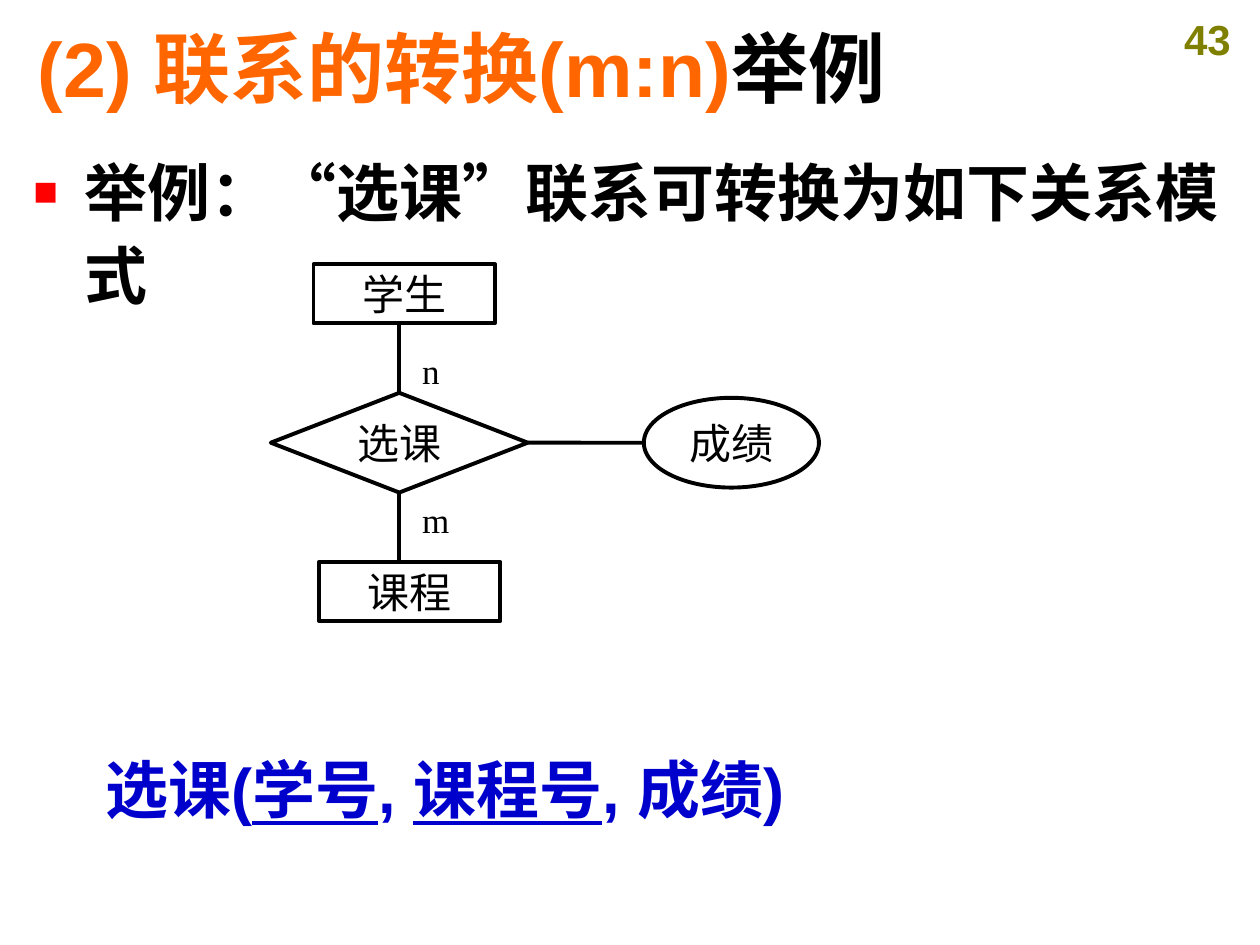
from lxml import etree
from pptx import Presentation
from pptx import util as u
from pptx.dml.color import RGBColor
from pptx.enum import shapes, text
from pptx.oxml import ns

Cm, Pt = u.Cm, u.Pt

BLACK = RGBColor(0x00, 0x00, 0x00)
ORANGE = RGBColor(0xFF, 0x66, 0x00)
BLUE = RGBColor(0x00, 0x00, 0xCC)
OLIVE = RGBColor(0x80, 0x80, 0x00)
BULLET_RED = RGBColor(0xFF, 0x00, 0x00)
SANS, SERIF = "Arial", "Times New Roman"

# Content: runs are (text, format changes)
TITLE = [("(2) 联系的转换(m:n)", {"color": ORANGE}), ("举例", {})]
EXAMPLE = [("举例：", {}), ("“", {"name": SERIF}), ("选课", {}),
           ("”", {"name": SERIF}), ("联系可转换为如下关系模式", {})]
RELATION = [("选课(", {}), ("学号", {"underline": True}), (", ", {}),
            ("课程号", {"underline": True}), (", 成绩)", {})]
PAGE_NUMBER = [("43", {})]

# Diagram: (text, shape, left, top, width, height) in cm
NODES = {
    "student": ("学生", shapes.MSO_SHAPE.RECTANGLE, 6.32, 5.33, 3.66, 1.19),
    "course": ("课程", shapes.MSO_SHAPE.RECTANGLE, 6.43, 11.33, 3.66, 1.19),
    "selection": ("选课", shapes.MSO_SHAPE.DIAMOND, 5.46, 7.92, 5.18, 2.01),
    "grade": ("成绩", shapes.MSO_SHAPE.OVAL, 12.98, 8.02, 3.53, 1.81),
}
CARDINALITIES = [("n", 8.26, 6.93, 0.79, 1.09), ("m", 8.26, 9.93, 0.99, 1.09)]

TITLE_FONT = {"name": SANS, "size": Pt(44), "bold": True, "color": BLACK}
BODY_FONT = {**TITLE_FONT, "size": Pt(36)}
RELATION_FONT = {**BODY_FONT, "color": BLUE}
NUMBER_FONT = {**TITLE_FONT, "size": Pt(24), "color": OLIVE}
NODE_FONT = {"name": SERIF, "size": Pt(24), "color": BLACK}
LABEL_FONT = {**NODE_FONT, "size": Pt(20)}


def set_all(target, values):
    for key, value in values.items():
        setattr(target, key, value)


def write(paragraph, runs, base, **layout):
    set_all(paragraph, layout)
    for words, changes in runs:
        run = paragraph.add_run()
        run.text = words
        values = {**base, **changes}
        run.font.color.rgb = values.pop("color")
        set_all(run.font, values)


def place(shape, left, top, width, height):
    set_all(shape, {"left": Cm(left), "top": Cm(top),
                    "width": Cm(width), "height": Cm(height)})


def set_bullet(paragraph, margin, indent, char=None):
    props = paragraph._p.get_or_add_pPr()
    props.set("marL", str(Cm(margin)))
    props.set("indent", str(Cm(indent)))
    if char is None:
        etree.SubElement(props, ns.qn("a:buNone"))
        return
    color = etree.SubElement(props, ns.qn("a:buClr"))
    etree.SubElement(color, ns.qn("a:srgbClr"), val=str(BULLET_RED))
    etree.SubElement(props, ns.qn("a:buSzPct"), val="65000")
    etree.SubElement(props, ns.qn("a:buFont"), typeface=SANS)
    etree.SubElement(props, ns.qn("a:buChar"), char=char)


def add_label(slide, runs, font, box, align):
    label = slide.shapes.add_textbox(*map(Cm, box))
    label.text_frame.word_wrap = True
    write(label.text_frame.paragraphs[0], runs, font, alignment=align)


def add_node(slide, words, kind, *box):
    node = slide.shapes.add_shape(kind, *map(Cm, box))
    node.shadow.inherit = False
    node.fill.background()
    node.line.color.rgb = BLACK
    node.line.width = Pt(2.25)
    set_all(node.text_frame, {"word_wrap": False,
                              "vertical_anchor": text.MSO_ANCHOR.MIDDLE})
    write(node.text_frame.paragraphs[0], [(words, NODE_FONT)], NODE_FONT,
          alignment=text.PP_ALIGN.CENTER)
    return node


def add_link(slide, start, side, end_x, end_y):
    link = slide.shapes.add_connector(
        shapes.MSO_CONNECTOR.STRAIGHT, 0, 0, end_x, end_y)
    link.begin_connect(start, side)
    link.line.color.rgb = BLACK
    link.line.width = Pt(2.25)
    etree.SubElement(link._element.spPr, ns.qn("a:effectLst"))


def main():
    deck = Presentation()
    set_all(deck, {"slide_width": Cm(25.4), "slide_height": Cm(19.05)})
    slide = deck.slides.add_slide(deck.slide_layouts[1])
    title, body = slide.placeholders

    # Page number and title
    add_label(slide, PAGE_NUMBER, NUMBER_FONT, (23.44, 0.15, 1.8, 1.27),
              text.PP_ALIGN.CENTER)
    place(title, 0.51, 0.38, 24.05, 1.93)
    set_all(title.text_frame, {"auto_size": text.MSO_AUTO_SIZE.NONE,
                               "vertical_anchor": text.MSO_ANCHOR.MIDDLE})
    write(title.text_frame.paragraphs[0], TITLE, TITLE_FONT,
          alignment=text.PP_ALIGN.LEFT)

    # Example statement and resulting relation, either side of the diagram
    place(body, 0.42, 2.82, 24.49, 15.11)
    body.text_frame.auto_size = text.MSO_AUTO_SIZE.NONE
    example = body.text_frame.paragraphs[0]
    set_bullet(example, 1.02, -1.02, "■")
    write(example, EXAMPLE, BODY_FONT, line_spacing=1.1, space_before=Pt(0))
    relation = body.text_frame.add_paragraph()
    set_bullet(relation, 1.45, 0)
    write(relation, RELATION, RELATION_FONT, line_spacing=1.1,
          space_before=Pt(246))

    # Entity-relationship diagram
    nodes = {key: add_node(slide, *node) for key, node in NODES.items()}
    student, course, selection, grade = nodes.values()
    middle_x = selection.left + selection.width // 2
    middle_y = grade.top + grade.height // 2
    add_link(slide, selection, 0, middle_x, student.top + student.height)
    add_link(slide, selection, 2, middle_x, course.top)
    add_link(slide, selection, 3, grade.left, middle_y)
    for words, *box in CARDINALITIES:
        add_label(slide, [(words, {})], LABEL_FONT, box, text.PP_ALIGN.LEFT)

    deck.save("out.pptx")


if __name__ == "__main__":
    main()
